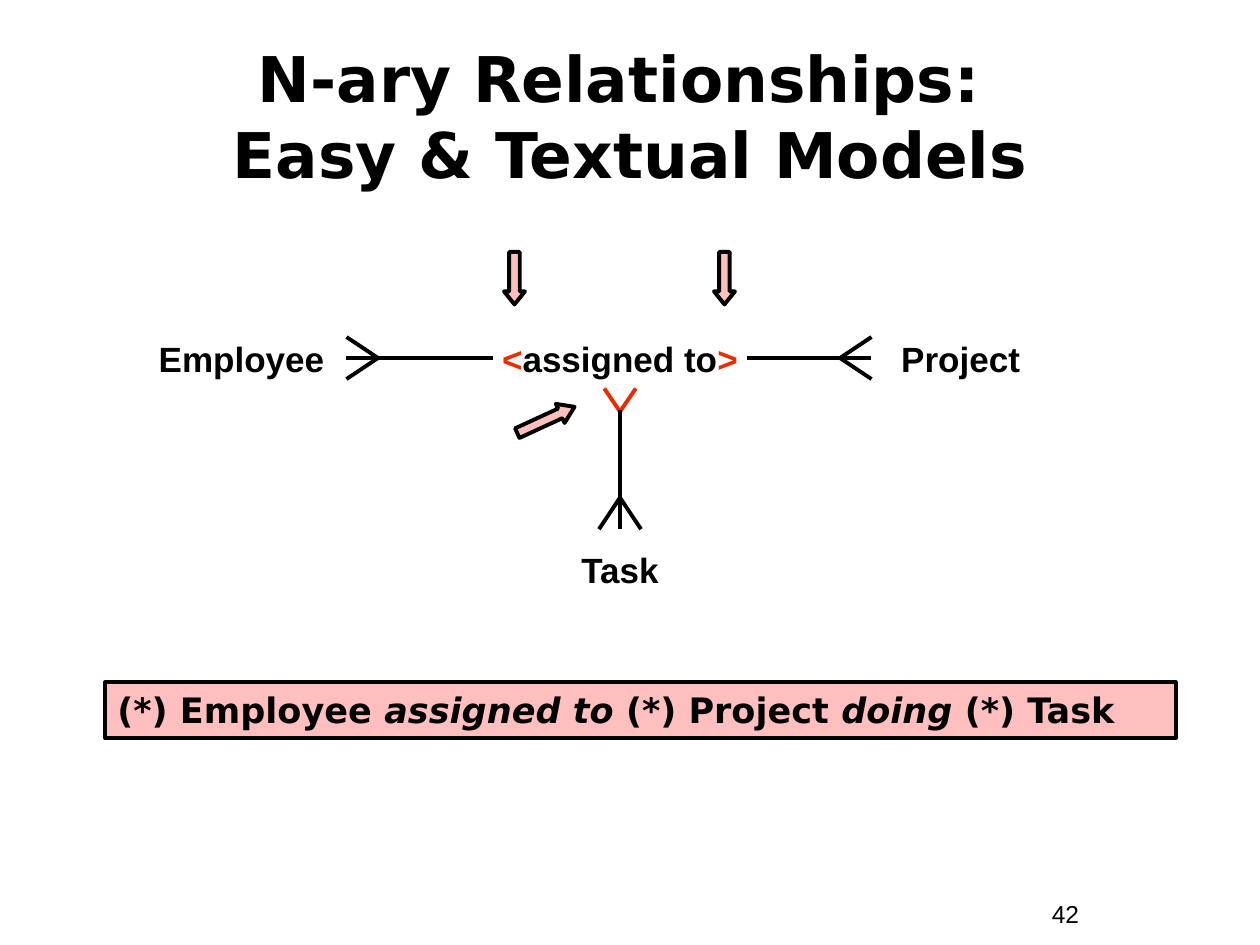
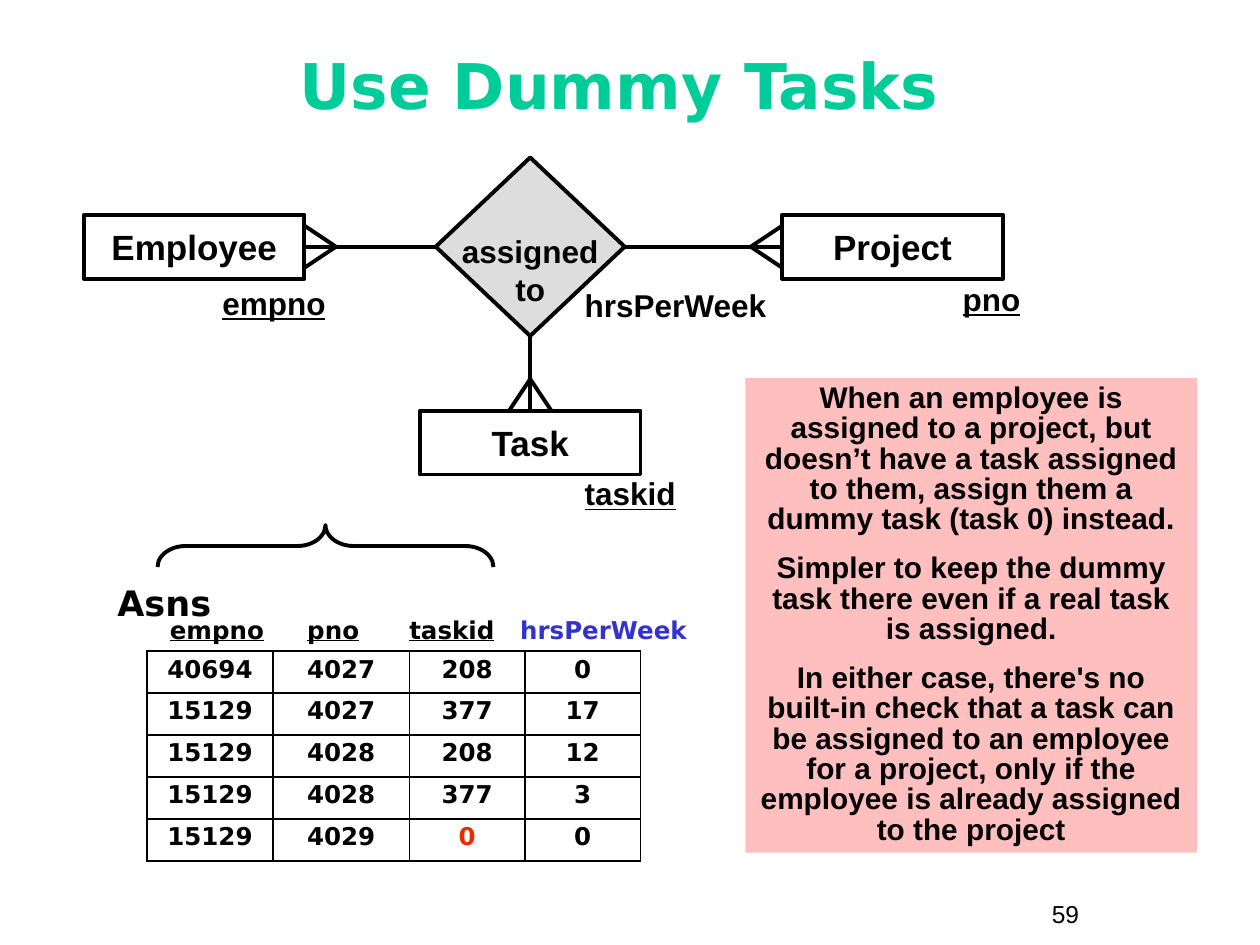
from lxml import etree
from pptx import Presentation
from pptx.dml.color import RGBColor
from pptx.enum.shapes import MSO_CONNECTOR as Link, MSO_SHAPE as Kind
from pptx.enum.text import MSO_ANCHOR as Anchor, PP_ALIGN as Align
from pptx.oxml import parse_xml
from pptx.oxml.ns import nsdecls, qn
from pptx.util import Inches, Pt

BLACK = RGBColor(0, 0, 0)
WHITE = RGBColor(255, 255, 255)
PINK = RGBColor(0xFF, 0xBF, 0xBF)
RED = RGBColor(0xEA, 0x2D, 0x00)
GREEN = RGBColor(0x00, 0xCC, 0x99)
GRAY = RGBColor(0xDD, 0xDD, 0xDD)
BLUE = RGBColor(0x33, 0x33, 0xCC)
SANS, WIDE = "Arial", "DejaVu Sans"
STROKE = Pt(2.25)
COLS, ROWS = 120, 90  # grid of twelfths of an inch


def grid(*units):
    return [Inches(n / 12) for n in units]


# Text
def style(font, size=20, face=SANS, color=BLACK, bold=True, under=False, slant=False):
    font.size, font.name, font.bold = Pt(size), face, bold
    font.underline, font.italic = under, slant
    font.color.rgb = color


def write(frame, text, align=Align.LEFT, anchor=Anchor.TOP, wrap=True,
          space=None, gap=0, **look):
    frame.text = text
    frame.word_wrap, frame.vertical_anchor = wrap, anchor
    for i, para in enumerate(frame.paragraphs):
        para.alignment, para.line_spacing = align, space
        if i:
            para.space_before = Pt(gap)
        for run in para.runs:
            style(run.font, **look)


def pieces(frame, parts, **look):
    """Fill the first paragraph with (text, changes) runs."""
    for text, change in parts:
        run = frame.paragraphs[0].add_run()
        run.text = text
        style(run.font, **{**look, **change})


def label(slide, place, text, **look):
    box = slide.shapes.add_textbox(*grid(*place))
    write(box.text_frame, text, **look)
    return box


def name(slide, place, text):
    return label(slide, place, text, align=Align.CENTER,
                 anchor=Anchor.MIDDLE, wrap=False)


# Shapes and lines
def shape(slide, kind, place, fill=None, line=BLACK, turn=0, adjust=()):
    item = slide.shapes.add_shape(kind, *grid(*place))
    item.shadow.inherit = False
    item.rotation = turn
    for i, value in enumerate(adjust):
        item.adjustments[i] = value
    if fill is None:
        item.fill.background()
    else:
        item.fill.solid()
        item.fill.fore_color.rgb = fill
    if line is None:
        item.line.fill.background()
    else:
        item.line.color.rgb, item.line.width = line, STROKE
    return item


def entity(slide, left, top, text):
    box = shape(slide, Kind.RECTANGLE, (left, top, 21, 6.1))
    write(box.text_frame, text, Align.CENTER, Anchor.MIDDLE, wrap=False)
    return box


def stroke(slide, x1, y1, x2, y2, color=BLACK):
    line = slide.shapes.add_connector(Link.STRAIGHT, *grid(x1, y1, x2, y2))
    line.line.color.rgb, line.line.width = color, STROKE
    etree.SubElement(line._element.spPr, qn("a:effectLst"))
    return line


def join(slide, start, side, end, other):
    line = stroke(slide, 0, 0, 1, 1)
    line.begin_connect(start, side)
    line.end_connect(end, other)


def foot(slide, x, y, dx=0, dy=0, half=2, color=BLACK):
    """Two toes that spread from the tip of a crow's foot."""
    for side in (-half, half):
        toe = (x + dx, y + side) if dx else (x + side, y + dy)
        stroke(slide, x, y, *toe, color)


# Table
def edge(cell):
    props = cell._tc.get_or_add_tcPr()
    for i, tag in enumerate(("lnL", "lnR", "lnT", "lnB")):
        props.insert(i, parse_xml(
            f'<a:{tag} {nsdecls("a")} w="13716"><a:solidFill>'
            f'<a:srgbClr val="{BLACK}"/></a:solidFill></a:{tag}>'))


def table(slide, left, top, widths, height, rows, marked):
    place = grid(left, top, sum(widths), height * len(rows))
    body = slide.shapes.add_table(len(rows), len(widths), *place).table
    body.first_row = body.horz_banding = False
    for col, width in zip(body.columns, grid(*widths)):
        col.width = width
    for r, row in enumerate(rows):
        body.rows[r].height = grid(height)[0]
        for c, text in enumerate(row):
            cell = body.cell(r, c)
            cell.fill.background()
            write(cell.text_frame, text, Align.CENTER, space=0.9, size=14,
                  face=WIDE, color=RED if (r, c) == marked else BLACK)
            edge(cell)


# Shared frame of a slide
def page(deck, title, top, number, color=BLACK):
    slide = deck.slides.add_slide(deck.slide_layouts[5])
    head = slide.shapes.title
    head.left, head.top, head.width, head.height = grid(4, top, COLS - 8, 8)
    write(head.text_frame, title, Align.CENTER, Anchor.MIDDLE,
          size=36, face=WIDE, color=color)
    label(slide, (99, ROWS - 5, 11, 4.1), number, size=14, bold=False)
    return slide


def models(deck):
    slide = page(deck, "N-ary Relationships: \vEasy & Textual Models", 7, "42")
    mid, axis = 59.05, 34.1

    # Entities around the relationship
    staff = name(slide, (13, axis - 6, 20, 12), "Employee")
    project = name(slide, (83, axis - 6, 17, 12), "Project")
    task = name(slide, (mid - 10.5, 50.4, 21, 7.6), "Task")
    verb = shape(slide, Kind.RECTANGLE, (47, axis - 3, 24.1, 6), WHITE, None)
    write(verb.text_frame, "", Align.CENTER, Anchor.MIDDLE, wrap=False)
    pieces(verb.text_frame, [("<", {"color": RED}), ("assigned to", {}),
                             (">", {"color": RED})])

    # Lines with crow's feet
    join(slide, staff, 3, verb, 1)
    join(slide, verb, 3, project, 1)
    foot(slide, 36, axis, dx=-3)
    foot(slide, 80, axis, dx=3)
    foot(slide, mid, 47.4, dy=3)
    foot(slide, mid, 39.2, dy=-2.2, half=1.5, color=RED)
    stroke(slide, mid, 39, mid, 50.4).end_connect(task, 0)

    # Pointers to the red marks
    shape(slide, Kind.RIGHT_ARROW, (49, 39, 6, 2), PINK, turn=335.3, adjust=(0.5, 0.75))
    for left in (48, 68):
        shape(slide, Kind.DOWN_ARROW, (left, 24, 2, 5), PINK, adjust=(0.5, 0.62))

    # Textual model
    rule = shape(slide, Kind.RECTANGLE, (10, 65, 102, 5.3), PINK)
    write(rule.text_frame, "")
    slant = {"slant": True}
    pieces(rule.text_frame, [("(*) Employee ", {}), ("assigned to", slant),
                             (" (*) Project ", {}), ("doing", slant),
                             (" (*) Task", {})], face=WIDE)


def dummy(deck):
    slide = page(deck, "Use Dummy Tasks ", 4, "59", GREEN)
    mid, axis = 50.5, 23.5

    # Entities and relationship
    verb = shape(slide, Kind.FLOWCHART_DECISION, (mid - 9, axis - 8.5, 18, 17), GRAY)
    write(verb.text_frame, "assigned\vto", Align.CENTER, wrap=False, size=18)
    verb.text_frame.margin_top, verb.text_frame.margin_bottom = Inches(0.24), 0
    staff = entity(slide, 8, axis - 3.05, "Employee")
    project = entity(slide, 74.5, axis - 3.05, "Project")
    task = entity(slide, mid - 10.5, 39.1, "Task")
    join(slide, staff, 3, verb, 1)
    join(slide, verb, 3, project, 1)
    join(slide, verb, 2, task, 0)
    foot(slide, 32, axis, dx=-3)
    foot(slide, 71.5, axis, dx=3)
    foot(slide, mid, 36.1, dy=3)

    # Attributes
    for left, top, width, text, space in (
            (20, 27, 15, "empno", 0.85), (90.5, 26.6, 12, "pno", 0.85),
            (54.5, 45, 12, "taskid", 0.9), (54.5, 27.1, 21, "hrsPerWeek", 0.9)):
        label(slide, (left, top, width, 4.4), text, space=space, size=18,
              under=text != "hrsPerWeek")

    # Assignments: brace, heading, column names, rows
    shape(slide, Kind.RIGHT_BRACE, (29, 36, 4, 32), turn=270, adjust=(0.67, 0.5))
    label(slide, (10, 54.8, 47, 5.3), "Asns", face=WIDE)
    heads = label(slide, (15, 58, 53, 4.1), "").text_frame
    props = heads.paragraphs[0]._p.get_or_add_pPr()
    stops = etree.SubElement(props, qn("a:tabLst"))
    for stop in (1.09, 1.9, 2.78):
        etree.SubElement(stops, qn("a:tab"), pos=str(Inches(stop)), algn="l")
    key, tab = {"under": True}, ("\t", {})
    pieces(heads, [("empno", key), tab, ("pno", key), tab, ("taskid", key), tab,
                   ("hrsPerWeek", {"color": BLUE})], size=14, face=WIDE)
    table(slide, 14, 62, (12, 13, 11, 11), 4, [
        ("40694", "4027", "208", "0"),
        ("15129", "4027", "377", "17"),
        ("15129", "4028", "208", "12"),
        ("15129", "4028", "377", "3"),
        ("15129", "4029", "0", "0")], marked=(4, 2))

    # Advice
    note = shape(slide, Kind.RECTANGLE, (71, 36, 43, 45.2), PINK, None)
    write(note.text_frame, "\n".join((
        "When an employee is assigned to a project, but doesn’t have a task "
        "assigned to them, assign them a dummy task (task 0) instead.",
        "Simpler to keep the dummy task there even if a real task is assigned.",
        "In either case, there's no built-in check that a task can be assigned "
        "to an employee for a project, only if the employee is already "
        "assigned to the project")), Align.CENTER, space=0.85, gap=10.6, size=17)


def main():
    deck = Presentation()
    deck.slide_width, deck.slide_height = grid(COLS, ROWS)
    models(deck)
    dummy(deck)
    deck.save("out.pptx")


if __name__ == "__main__":
    main()
